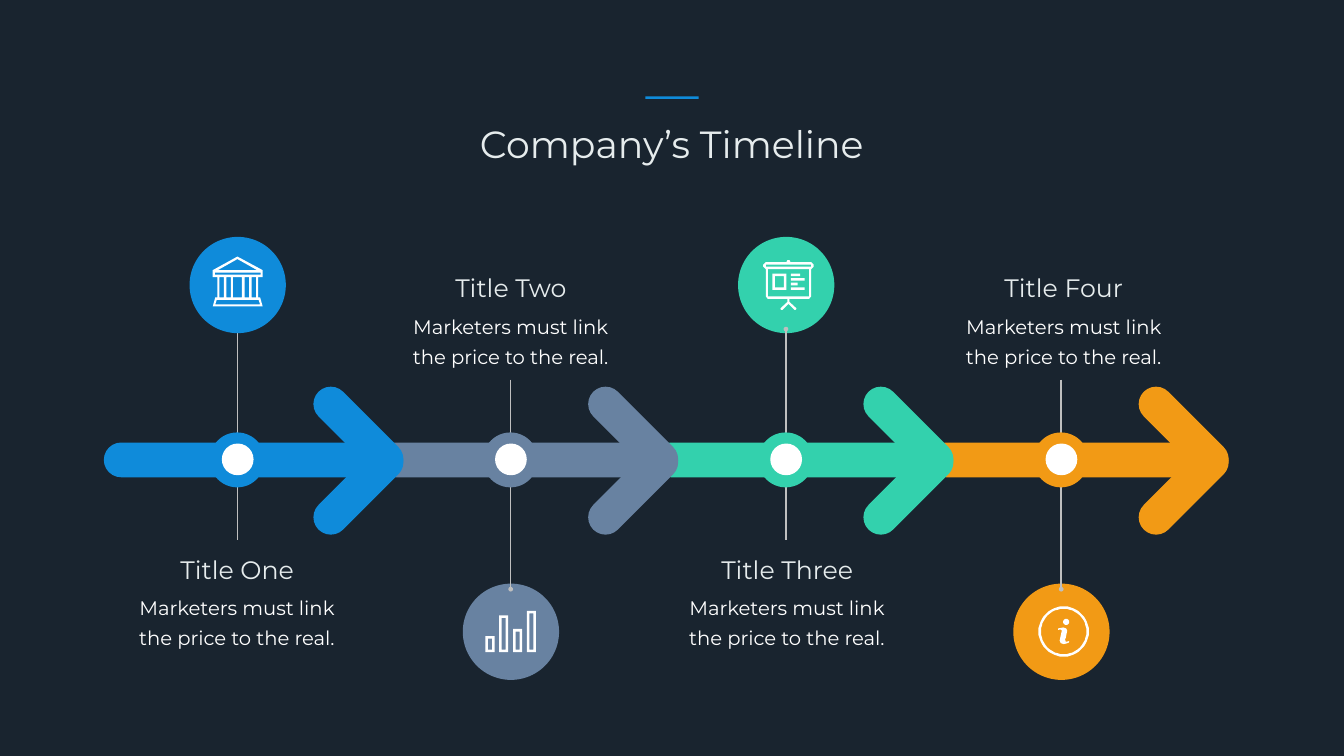
import math
from dataclasses import dataclass
from typing import Callable, NamedTuple

import pptx
import pptx.dml.color
import pptx.enum.shapes
import pptx.enum.text
import pptx.oxml
import pptx.util

EMU_PER_PX = 9144  # 100 px to the inch
SHAPES = pptx.enum.shapes.MSO_SHAPE
NODE_Y = 912


@dataclass(frozen=True)
class Theme:
    background: str = "19242F"
    blue: str = "0F8BDA"
    slate: str = "6882A1"
    green: str = "33D1AD"
    orange: str = "F29A15"
    heading: str = "E6ECED"
    white: str = "FFFFFF"
    stem: str = "BFBFBF"
    font: str = "Montserrat"
    title_size: int = 54
    heading_size: int = 36
    body_size: int = 28
    body_leading: int = 43
    stem_width: float = 2.25


THEME = Theme()


class Box(NamedTuple):
    left: int
    top: int
    width: int
    height: int


Contour = list[tuple[float, float]]


class Icon(NamedTuple):
    top: int
    offset: int  # left edge relative to the milestone's centre
    contours: list[Contour]


@dataclass(frozen=True)
class Milestone:
    heading: str
    heading_width: int
    color: str
    center: int
    text_center: int
    icon: Callable[[], Icon]
    badge_above: bool
    badge_in_front: bool = False


def px(length: float) -> pptx.util.Emu:
    return pptx.util.Emu(round(length * EMU_PER_PX))


def rgb(color: str) -> pptx.dml.color.RGBColor:
    return pptx.dml.color.RGBColor.from_string(color)


def rectangle(left: int, top: int, right: int, bottom: int) -> Contour:
    return [(left, top), (right, top), (right, bottom), (left, bottom)]


def frame(left: int, top: int, right: int, bottom: int) -> list[Contour]:
    """Outer and inner edge of a box drawn 5 px thick."""
    return [rectangle(left, top, right, bottom),
            rectangle(left + 5, top + 5, right - 5, bottom - 5)]


def circle(x: int, y: int, radius: int, steps: int = 48) -> Contour:
    angles = [2 * math.pi * step / steps for step in range(steps)]
    return [(x + radius * math.cos(angle), y + radius * math.sin(angle)) for angle in angles]


def bank_icon() -> Icon:
    outline = [(49, 0), (99, 27), (99, 41), (90, 41), (90, 81), (94, 81), (99, 99),
               (0, 99), (5, 81), (9, 81), (9, 41), (0, 41), (0, 27)]
    roof = [(49, 5), (88, 27), (10, 27)]
    base = [(8, 86), (91, 86), (94, 95), (5, 95)]
    gaps = [(13, 22), (27, 36), (40, 58), (63, 72), (77, 86)]
    columns = [rectangle(left, 41, right, 81) for left, right in gaps]
    return Icon(509, -49, [outline, roof, rectangle(4, 32, 95, 36), base, *columns])


def bars_icon() -> Icon:
    bars = [(0, 50), (27, 9), (55, 36), (82, 0)]
    return Icon(1212, -50, [edge for left, top in bars
                            for edge in frame(left, top, left + 18, 82)])


def board_icon() -> Icon:
    outline = [(5, 4), (46, 4), (48, 0), (52, 0), (54, 4), (95, 4), (100, 9), (100, 13),
               (95, 18), (95, 72), (91, 77), (52, 77), (52, 83), (65, 95), (66, 97),
               (64, 99), (62, 99), (50, 87), (38, 99), (36, 99), (34, 97), (35, 95),
               (48, 83), (48, 77), (9, 77), (5, 72), (5, 18), (0, 13), (0, 9)]
    line_ends = [73, 82, 68, 82]
    lines = [rectangle(55, 27 + 9 * row, end, 32 + 9 * row)
             for row, end in enumerate(line_ends)]
    return Icon(516, -45, [outline, rectangle(5, 9, 95, 13), rectangle(9, 18, 91, 72),
                           *frame(18, 27, 46, 59), *lines])


def info_icon() -> Icon:
    letter = [(57, 70), (54, 70), (53, 67), (53, 65), (54, 63), (56, 53), (57, 48), (55, 44),
              (49, 42), (44, 43), (39, 44), (39, 47), (43, 46), (46, 47), (46, 50), (45, 54),
              (43, 63), (42, 68), (44, 73), (50, 75), (55, 74), (60, 72), (61, 69)]
    return Icon(1203, -45, [circle(50, 50, 50), circle(50, 50, 45), circle(55, 31, 6), letter])


MILESTONES = [
    Milestone("Title One", 247, THEME.blue, 471, 470, bank_icon, True, badge_in_front=True),
    Milestone("Title Two", 245, THEME.slate, 1013, 1013, bars_icon, False),
    Milestone("Title Three", 285, THEME.green, 1559, 1561, board_icon, True),
    Milestone("Title Four", 258, THEME.orange, 2105, 2110, info_icon, False),
]


def paint(shape, color: str) -> None:
    shape.shadow.inherit = False
    shape.fill.solid()
    shape.fill.fore_color.rgb = rgb(color)
    shape.line.fill.background()


def add_filled(slide, kind, box: Box, color: str, rotation: int = 0):
    shape = slide.shapes.add_shape(kind, *map(px, box))
    paint(shape, color)
    shape.rotation = rotation
    return shape


def add_disc(slide, x: int, y: int, diameter: int, color: str) -> None:
    corner = (round(x - diameter / 2), round(y - diameter / 2))
    add_filled(slide, SHAPES.OVAL, Box(*corner, diameter, diameter), color)


def write_text(shape, text: str, *, size: int, color: str, wrap: bool = False,
               leading: int | None = None) -> None:
    text_frame = shape.text_frame
    text_frame.word_wrap = wrap
    text_frame.auto_size = pptx.enum.text.MSO_AUTO_SIZE.SHAPE_TO_FIT_TEXT
    text_frame.vertical_anchor = pptx.enum.text.MSO_ANCHOR.TOP
    paragraph = text_frame.paragraphs[0]
    paragraph.alignment = pptx.enum.text.PP_ALIGN.CENTER
    if leading:
        paragraph.line_spacing = pptx.util.Pt(leading)
    run = paragraph.add_run()
    run.text = text
    run.font.size = pptx.util.Pt(size)
    run.font.name = THEME.font
    run.font.color.rgb = rgb(color)


def add_title(slide) -> None:
    title = slide.shapes.title
    title.left, title.top, title.width, title.height = map(px, Box(937, 234, 791, 101))
    write_text(title, "Company’s Timeline", size=THEME.title_size, color=THEME.heading)
    add_filled(slide, SHAPES.RECTANGLE, Box(1280, 191, 106, 5), THEME.blue)


def add_stem(slide, milestone: Milestone) -> None:
    start, end = (1071, 653) if milestone.badge_above else (753, 1169)
    x = px(milestone.center)
    stem = slide.shapes.add_connector(pptx.enum.shapes.MSO_CONNECTOR.STRAIGHT,
                                      x, px(start), x, px(end))
    stem.line.color.rgb = rgb(THEME.stem)
    stem.line.width = pptx.util.Pt(THEME.stem_width)
    properties = stem._element.spPr
    tail = pptx.oxml.parse_xml(
        '<a:tailEnd xmlns:a="http://schemas.openxmlformats.org/drawingml/2006/main" type="oval"/>')
    properties.ln.append(tail)
    properties.append(properties.makeelement(pptx.oxml.ns.qn("a:effectLst"), {}))


def add_badge(slide, milestone: Milestone) -> None:
    add_disc(slide, milestone.center, 566 if milestone.badge_above else 1253, 191, milestone.color)


def add_arrow(slide, left: int, color: str) -> None:
    bars = [(Box(left, 878, 546, 69), 0),
            (Box(left + 393, 822, 224, 69), 45),
            (Box(left + 393, 937, 224, 69), 315)]
    for box, rotation in bars:
        bar = add_filled(slide, SHAPES.ROUNDED_RECTANGLE, box, color, rotation)
        bar.adjustments[0] = 0.5


def add_icon(slide, milestone: Milestone) -> None:
    icon = milestone.icon()
    first, *others = icon.contours
    builder = slide.shapes.build_freeform(*first[0], scale=EMU_PER_PX)
    builder.add_line_segments(first[1:], close=True)
    for contour in others:
        builder.move_to(*contour[0])
        builder.add_line_segments(contour[1:], close=True)
    paint(builder.convert_to_shape(px(milestone.center + icon.offset), px(icon.top)), THEME.white)


def add_caption(slide, milestone: Milestone) -> None:
    top = 1094 if milestone.badge_above else 536
    width = milestone.heading_width
    heading = Box(milestone.text_center - width // 2, top, width, 71)
    body = Box(milestone.text_center - 218, top + 71, 436, 125)
    write_text(slide.shapes.add_textbox(*map(px, heading)), milestone.heading,
               size=THEME.heading_size, color=THEME.heading)
    write_text(slide.shapes.add_textbox(*map(px, body)),
               "Marketers must link the price to the real.", size=THEME.body_size,
               color=THEME.white, wrap=True, leading=THEME.body_leading)


def main() -> None:
    presentation = pptx.Presentation()
    presentation.slide_width, presentation.slide_height = px(2666), px(1500)
    slide = presentation.slides.add_slide(presentation.slide_layouts[5])
    slide.background.fill.solid()
    slide.background.fill.fore_color.rgb = rgb(THEME.background)
    add_title(slide)
    for milestone in MILESTONES:
        layers = [add_badge, add_stem]
        for draw in reversed(layers) if milestone.badge_in_front else layers:
            draw(slide, milestone)
    for index, milestone in reversed(list(enumerate(MILESTONES))):
        add_arrow(slide, 206 + index * 1637 // 3, milestone.color)
    for milestone in MILESTONES:
        add_disc(slide, milestone.center, NODE_Y, 109, milestone.color)
        add_disc(slide, milestone.center, NODE_Y, 63, THEME.white)
        add_icon(slide, milestone)
        add_caption(slide, milestone)
    presentation.save("out.pptx")


if __name__ == "__main__":
    main()
